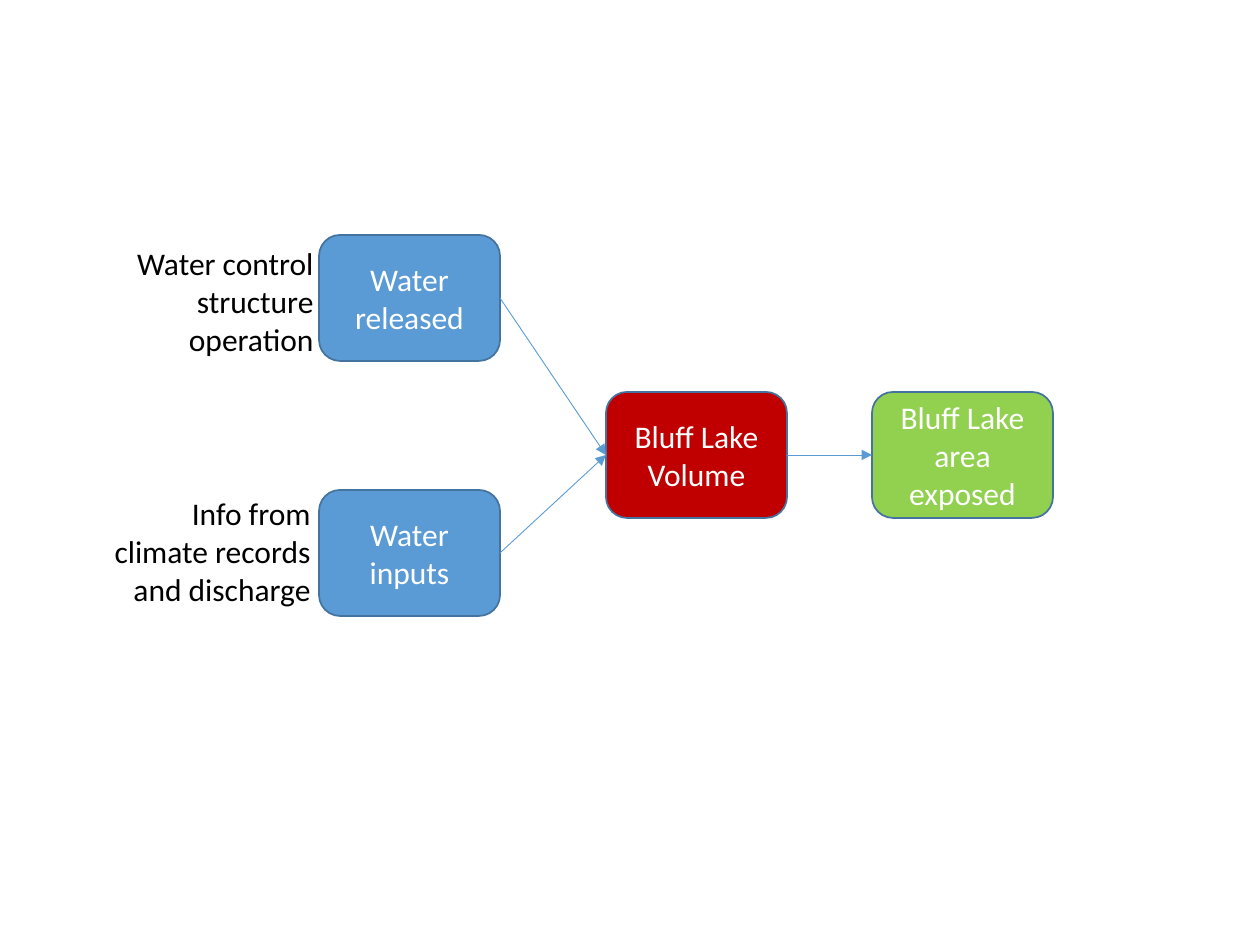
from pptx import Presentation, util as u
from pptx.dml.color import RGBColor
from pptx.enum import shapes, text
from pptx.oxml.ns import qn
from lxml import etree

PX = 914400 // 126  # EMU per pixel


def rgb(value):
    return RGBColor.from_string(value)


def write(tf, content, align, color):
    tf.word_wrap = True
    tf.text = content
    for p in tf.paragraphs:
        p.alignment = align
        for r in p.runs:
            r.font.name = "Calibri"
            r.font.size = u.Pt(18)
            r.font.color.rgb = rgb(color)


prs = Presentation()
prs.slide_width, prs.slide_height = u.Inches(10), u.Inches(7.5)
s = prs.slides.add_slide(prs.slide_layouts[6])

# Boxes of the flow, all one size
BOX_W, BOX_H = 181, 126
boxes = {}
for name, left, top, fill, label in [
    ("released", 319, 235, "5B9BD5", "Water released"),
    ("volume", 606, 392, "C00000", "Bluff Lake\nVolume"),
    ("exposed", 872, 392, "92D050", "Bluff Lake area exposed"),
    ("inputs", 319, 490, "5B9BD5", "Water inputs"),
]:
    sp = s.shapes.add_shape(shapes.MSO_SHAPE.ROUNDED_RECTANGLE,
                            left * PX, top * PX, BOX_W * PX, BOX_H * PX)
    sp.shadow.inherit = False
    sp.fill.solid()
    sp.fill.fore_color.rgb = rgb(fill)
    sp.line.color.rgb = rgb("43739E")
    sp.line.width = u.Pt(1)
    sp.text_frame.vertical_anchor = text.MSO_ANCHOR.MIDDLE
    write(sp.text_frame, label, text.PP_ALIGN.CENTER, "FFFFFF")
    boxes[name] = sp

# Arrows from right side to left side
for start, end in [("inputs", "volume"), ("released", "volume"), ("volume", "exposed")]:
    c = s.shapes.add_connector(shapes.MSO_CONNECTOR.STRAIGHT, 0, 0, 0, 0)
    c.begin_connect(boxes[start], 3)
    c.end_connect(boxes[end], 1)
    c.line.color.rgb = rgb("5B9BD5")
    c.line.width = u.Pt(0.5)
    etree.SubElement(c.line._get_or_add_ln(), qn("a:tailEnd"), type="triangle")
    etree.SubElement(c._element.spPr, qn("a:effectLst"))

# Notes left of the two blue boxes
for left, top, note in [
    (94, 488, "Info from climate records and discharge"),
    (97, 238, "Water control structure operation"),
]:
    tb = s.shapes.add_textbox(left * PX, top * PX, 229 * PX, 127 * PX)
    tb.text_frame.auto_size = text.MSO_AUTO_SIZE.SHAPE_TO_FIT_TEXT
    write(tb.text_frame, note, text.PP_ALIGN.RIGHT, "000000")

prs.save("out.pptx")
